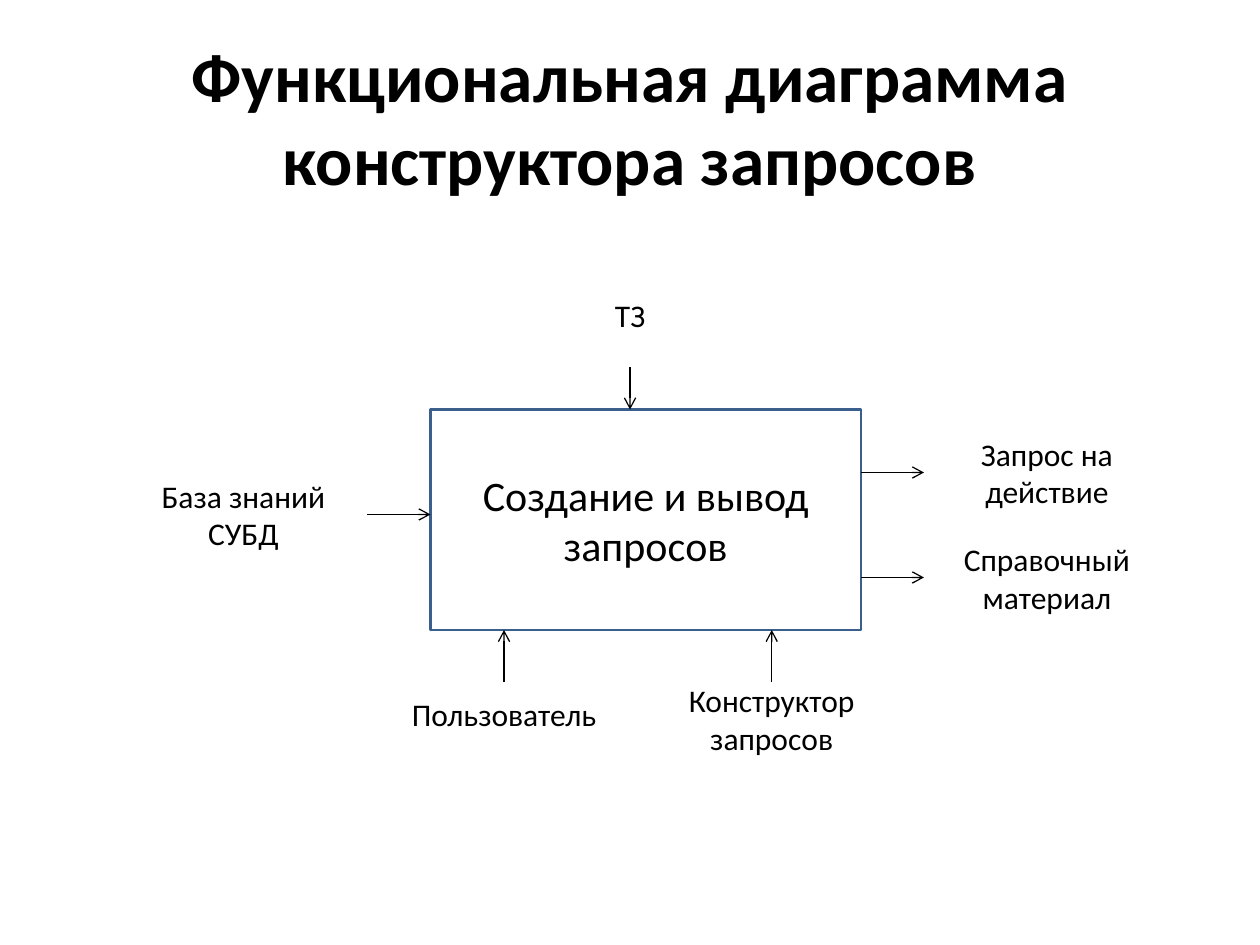
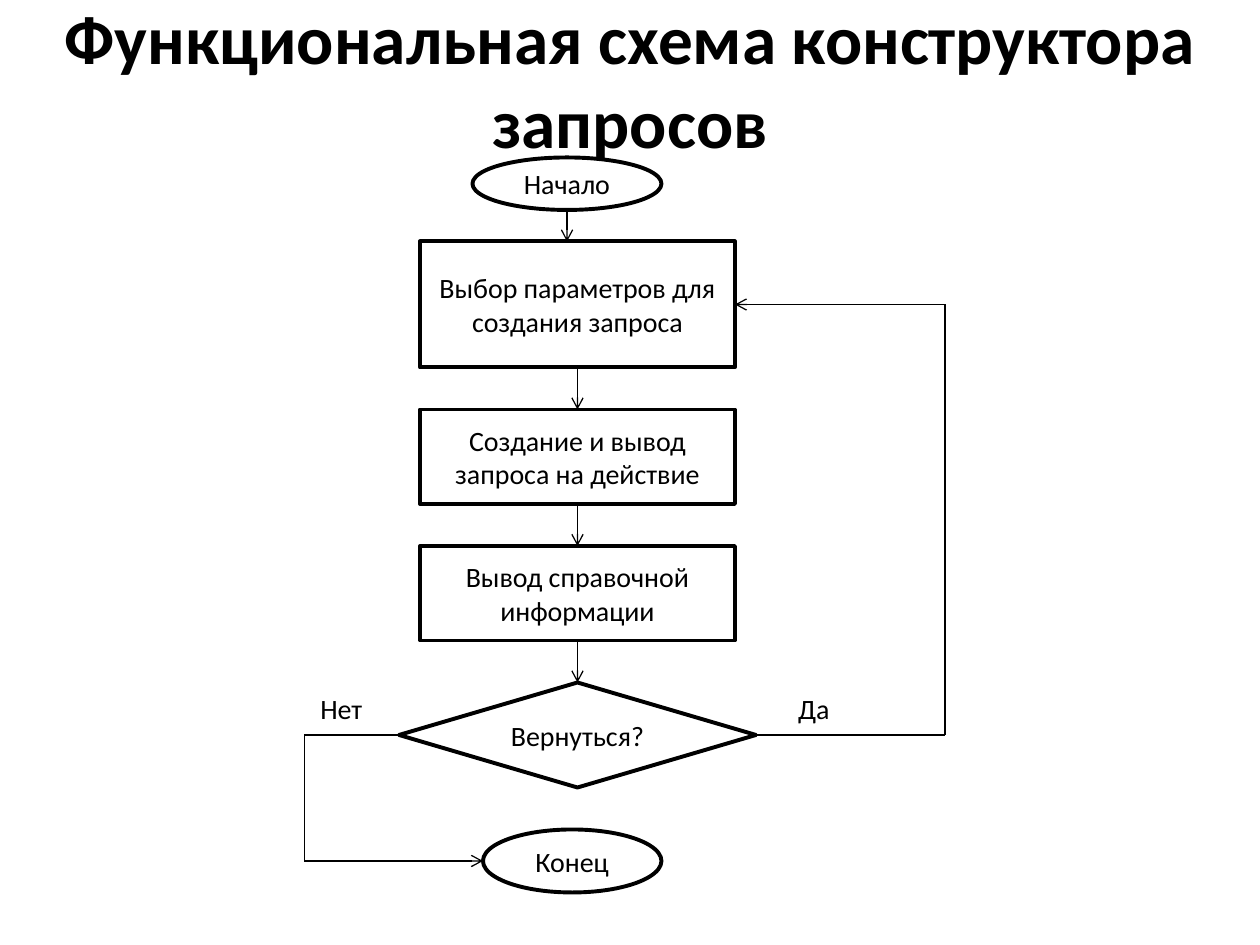
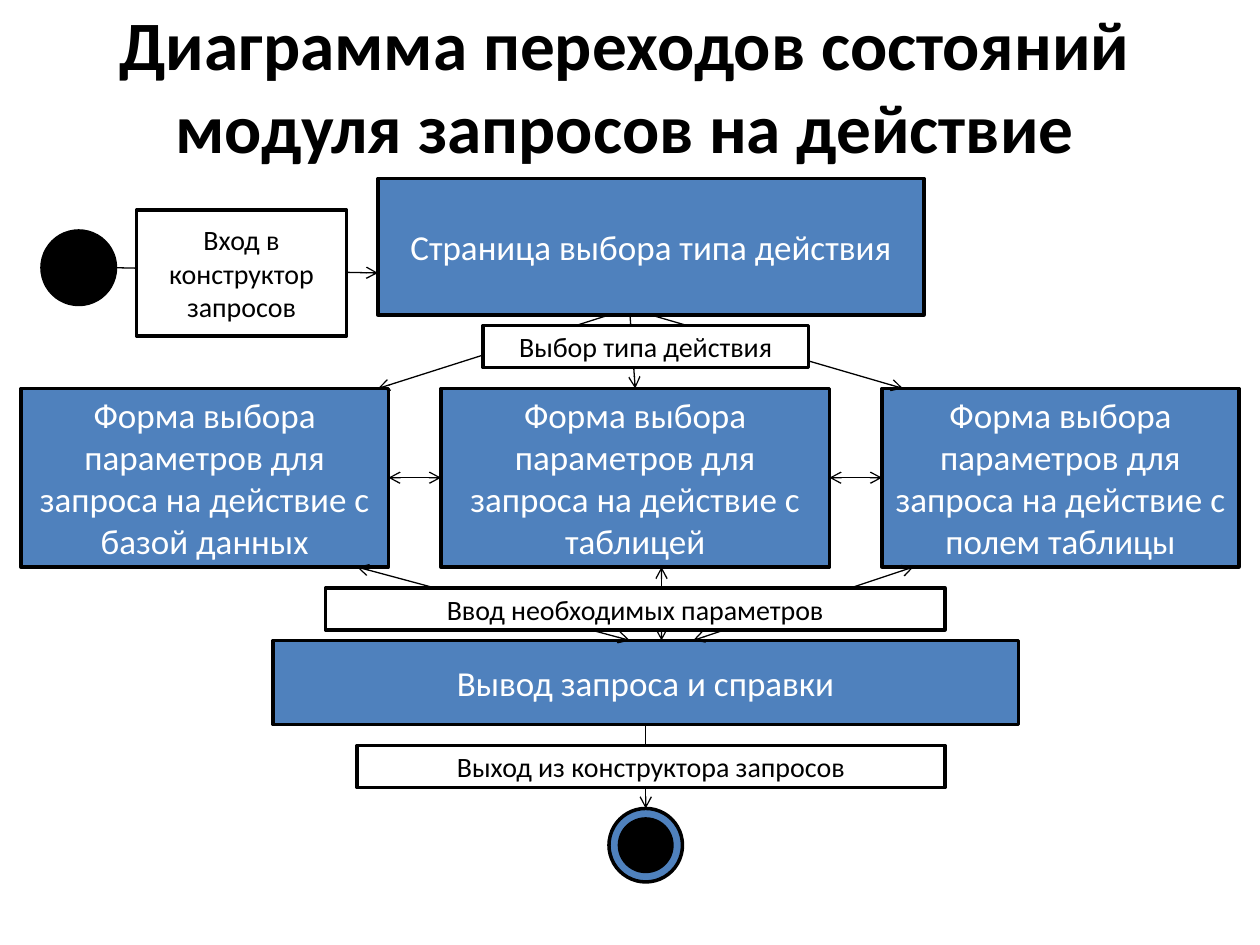
import dataclasses

import lxml.etree
import pptx
import pptx.dml.color
import pptx.enum.shapes
import pptx.enum.text
import pptx.oxml.ns
import pptx.util

Cm = pptx.util.Cm
Pt = pptx.util.Pt
Kind = pptx.enum.shapes.MSO_SHAPE
qn = pptx.oxml.ns.qn


@dataclasses.dataclass(frozen=True)
class Theme:
    font: str = "Calibri"
    black: str = "000000"
    white: str = "FFFFFF"
    blue: str = "4F81BD"
    outline: str = "3A5F8C"
    title: float = 39.6
    process: float = 24
    state: float = 20
    label: float = 18
    small: float = 16
    thin: float = 0.75
    thick: float = 2.25
    frame: float = 2
    cell: float = 2.54 / 12


theme = Theme()
rgb = pptx.dml.color.RGBColor.from_string


def add_box(shapes, text, at, kind="text", fill=theme.white, line=theme.black,
            weight=theme.frame, size=theme.small, color=theme.black, bold=False, indent=0):
    place = [Cm(value * theme.cell) for value in at]
    if kind == "title":
        box = shapes.title
        box.left, box.top, box.width, box.height = place
    elif kind == "text":
        box = shapes.add_textbox(*place)
    else:
        box = shapes.add_shape(kind, *place)
        box.shadow.inherit = False
        box.fill.solid()
        box.fill.fore_color.rgb = rgb(fill)
        box.line.color.rgb = rgb(line)
        box.line.width = Pt(weight)
    if text:
        frame = box.text_frame
        frame.word_wrap = True
        frame.auto_size = pptx.enum.text.MSO_AUTO_SIZE.NONE
        frame.vertical_anchor = pptx.enum.text.MSO_ANCHOR.MIDDLE
        para = frame.paragraphs[0]
        para.alignment = pptx.enum.text.PP_ALIGN.CENTER
        if indent:
            para._p.get_or_add_pPr().set("marL", str(Cm(indent)))
        span = para.add_run()
        span.text = text
        span.font.name = theme.font
        span.font.size = Pt(size)
        span.font.bold = bold
        span.font.color.rgb = rgb(color)
    return box


def add_link(page, start, end, ends=("tailEnd",)):
    points = [Cm(value * theme.cell) for value in (*start, *end)]
    link = page.shapes.add_connector(pptx.enum.shapes.MSO_CONNECTOR.STRAIGHT, *points)
    link.line.color.rgb = rgb(theme.black)
    link.line.width = Pt(theme.thin)
    for name in ends:
        tip = lxml.etree.SubElement(link.line._get_or_add_ln(), qn("a:" + name))
        tip.set("type", "arrow")
    lxml.etree.SubElement(link._element.spPr, qn("a:effectLst"))


deck = pptx.Presentation()
deck.slide_width, deck.slide_height = Cm(25.4), Cm(19.05)

pages = []
for title, at in [
    ("Функциональная диаграмма конструктора запросов", (0, 3.6, 120, 15)),
    ("Функциональная схема конструктора запросов", (0, 0, 120, 15)),
    ("Диаграмма переходов состояний модуля запросов на действие", (2, 0, 115, 16)),
]:
    page = deck.slides.add_slide(deck.slide_layouts[5])
    add_box(page.shapes, title, at, kind="title", size=theme.title, bold=True)
    pages.append(page)
context, flow, states = pages

add_box(context.shapes, "Создание и вывод запросов", (41, 39, 41, 21), kind=Kind.RECTANGLE,
        line=theme.outline, weight=1.5, size=theme.process)
for text, at, indent in [
    ("ТЗ", (43, 26, 34, 8), 0),
    ("База знаний СУБД", (10, 43, 24, 12), 0.5),
    ("Пользователь", (28.5, 65, 39, 6), 0),
    ("Конструктор запросов", (59, 65, 29, 7), 0),
    ("Запрос на действие", (86, 39, 26, 12), 0.3),
    ("Справочный материал", (87, 51, 24, 8), 0.3),
]:
    add_box(context.shapes, text, at, size=theme.label, indent=indent)
for start, end in [
    ((60, 35), (60, 39)),
    ((35, 49), (41, 49)),
    ((48, 65), (48, 60)),
    ((73.5, 65), (73.5, 60)),
    ((82, 45), (88, 45)),
    ((82, 55), (88, 55)),
]:
    add_link(context, start, end)

for text, at, kind in [
    ("Начало", (45, 15, 18, 5), Kind.OVAL),
    ("Выбор параметров для создания запроса", (40, 23, 30, 12), Kind.RECTANGLE),
    ("Создание и вывод запроса на действие", (40, 39, 30, 9), Kind.RECTANGLE),
    ("Вывод справочной информации", (40, 52, 30, 9), Kind.RECTANGLE),
    ("Вернуться?", (38, 65, 34, 10), Kind.FLOWCHART_DECISION),
    ("Конец", (46, 79, 17, 6), Kind.OVAL),
]:
    add_box(flow.shapes, text, at, kind=kind, weight=theme.thick)
for text, left in [("Нет", 28), ("Да", 73)]:
    add_box(flow.shapes, text, (left, 65, 9, 5))
for route in [
    [(54, 20), (54, 23)],
    [(55, 35), (55, 39)],
    [(55, 48), (55, 52)],
    [(55, 61), (55, 65)],
    [(72, 70), (90, 70), (90, 29), (70, 29)],
    [(38, 70), (29, 70), (29, 82), (46, 82)],
]:
    for start, end in zip(route, route[1:]):
        add_link(flow, start, end, ends=("tailEnd",) if end == route[-1] else ())

add_box(states.shapes, "", (4, 22, 7, 7), kind=Kind.OVAL, fill=theme.black)
final = states.shapes.add_group_shape()
add_box(final.shapes, "", (58, 77, 7, 7), kind=Kind.OVAL, fill=theme.blue)
add_box(final.shapes, "", (59, 78, 5, 5), kind=Kind.OVAL, fill=theme.black)

form = "Форма выбора параметров для запроса на действие с "
for text, at in [
    ("Страница выбора типа действия", (36, 17, 52, 13)),
    (form + "базой данных", (2, 37, 35, 17)),
    (form + "таблицей", (42, 37, 37, 17)),
    (form + "полем таблицы", (84, 37, 34, 17)),
    ("Вывод запроса и справки", (26, 61, 71, 8)),
]:
    add_box(states.shapes, text, at, kind=Kind.RECTANGLE, fill=theme.blue,
            size=theme.state, color=theme.white)
for start, end in [
    ((11, 25.5), (36, 26)),
    ((58, 30), (36, 37)),
    ((60, 30), (60.5, 37)),
    ((62, 30), (86, 37)),
    ((61.5, 69), (61.5, 77)),
]:
    add_link(states, start, end)
for start, end in [
    ((37, 45.5), (42, 45.5)),
    ((79, 45.5), (84, 45.5)),
    ((34, 54), (60, 61)),
    ((63, 54), (63, 61)),
    ((87, 54), (66, 61)),
]:
    add_link(states, start, end, ends=("headEnd", "tailEnd"))
for text, at in [
    ("Вход в конструктор запросов", (13, 20, 20, 12)),
    ("Выбор типа действия", (46, 31, 31, 4)),
    ("Ввод необходимых параметров", (31, 56, 59, 4)),
    ("Выход из конструктора запросов", (34, 71, 56, 4)),
]:
    add_box(states.shapes, text, at, kind=Kind.RECTANGLE)

deck.save("out.pptx")
